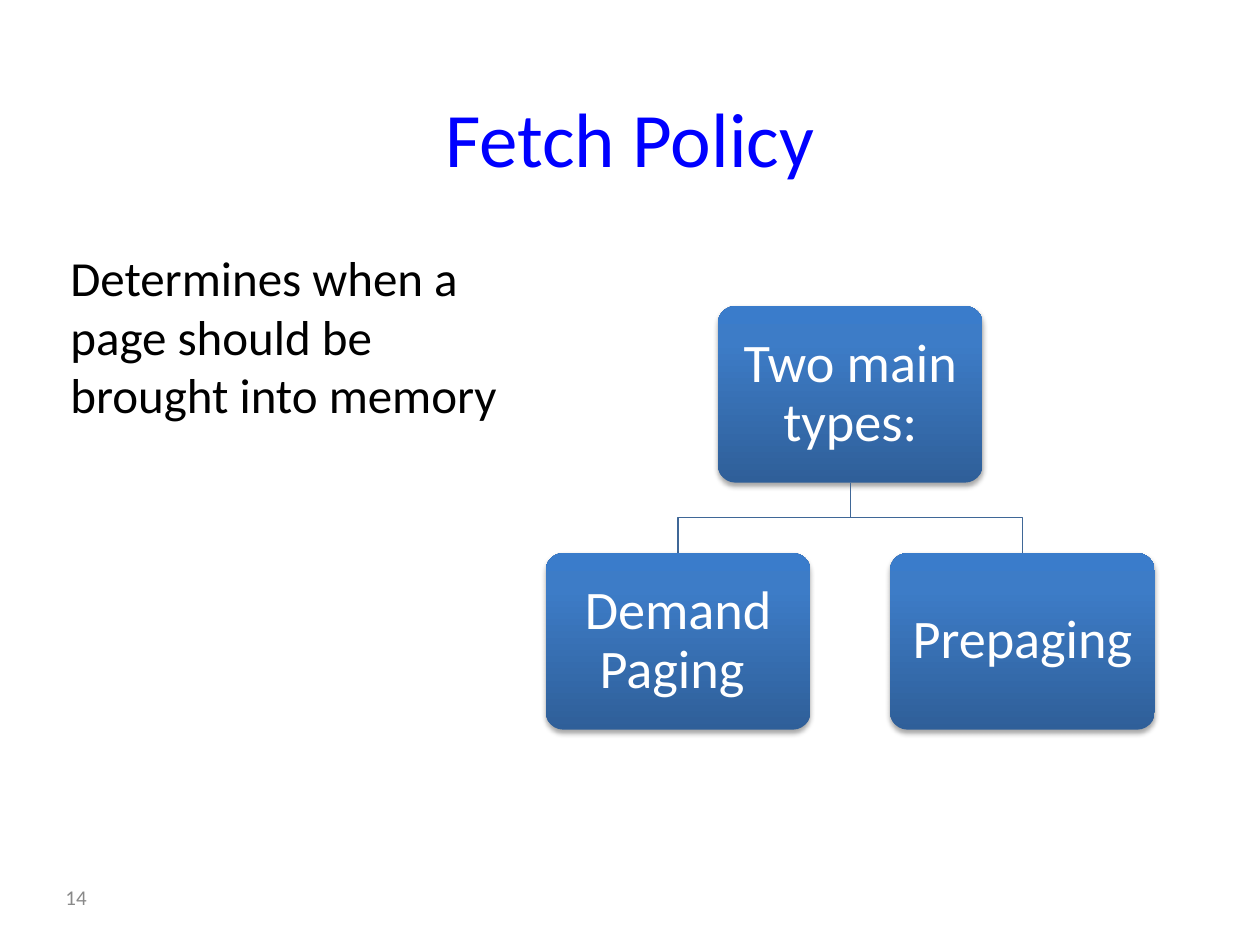
from copy import deepcopy

from pptx import Presentation
from pptx.dml.color import RGBColor
from pptx.enum.shapes import MSO_SHAPE
from pptx.enum.text import MSO_ANCHOR as ANCHOR, PP_ALIGN as ALIGN
from pptx.oxml import parse_xml
from pptx.oxml.ns import nsdecls
from pptx.util import Cm, Pt

COLORS = {
    "title": "0000FF", "body": "000000", "number": "898989", "node_text": "FFFFFF",
    "dark": "2F5F99", "mid": "3D7CC7", "light": "3A7CCB", "link": "3F6797",
}
FONT = "Calibri"
NODE_STOPS = [(0, "dark"), (80, "mid"), (100, "light")]
NODE_W, NODE_H = Cm(5.34), Cm(3.56)
NODE_MARGIN = Cm(0.28)
LEVEL_GAP = Cm(1.42)
NODE_STEP = Cm(6.94)
TREE_CENTER, TREE_TOP = Cm(17.14), Cm(6.17)


def rgb(name):
    return RGBColor.from_string(COLORS[name])


def set_text(sp, text, size, color, align=ALIGN.LEFT, anchor=ANCHOR.MIDDLE):
    tf = sp.text_frame
    tf.text = text
    tf.word_wrap = True
    tf.vertical_anchor = anchor
    p = tf.paragraphs[0]
    p.alignment = align
    font = p.runs[0].font
    font.name, font.size, font.color.rgb = FONT, Pt(size), rgb(color)
    return tf


def add_title(s, text):
    sp = s.shapes.title
    sp.left, sp.top, sp.width, sp.height = Cm(1.83), Cm(1.27), Cm(21.74), Cm(2.97)
    set_text(sp, text, 44, "title", ALIGN.CENTER)


def add_text(s, box, text, size, color, anchor):
    sp = s.shapes.add_textbox(*(Cm(v) for v in box))
    set_text(sp, text, size, color, anchor=anchor)


def fill_gradient(sp):
    sp.fill.gradient()
    sp.fill.gradient_angle = 90
    # A default gradient has two stops; add the middle one
    stop_list = sp._element.spPr.find(".//{*}gsLst")
    stop_list.insert(1, deepcopy(stop_list[0]))
    for element, stop, (pos, color) in zip(stop_list, sp.fill.gradient_stops, NODE_STOPS):
        element.set("pos", str(pos * 1000))
        stop.color.rgb = rgb(color)


def add_shadow(sp):
    sp._element.spPr.append(parse_xml(
        f'<a:effectLst {nsdecls("a")}>'
        f'<a:outerShdw blurRad="{Pt(3.1)}" dist="{Pt(1.8)}" dir="5400000" rotWithShape="0">'
        '<a:srgbClr val="000000"><a:alpha val="35000"/></a:srgbClr>'
        '</a:outerShdw></a:effectLst>'))


def add_node(s, center, top, text):
    sp = s.shapes.add_shape(MSO_SHAPE.ROUNDED_RECTANGLE,
                            center - NODE_W // 2, top, NODE_W, NODE_H)
    sp.adjustments[0] = 0.1
    fill_gradient(sp)
    sp.line.fill.background()
    add_shadow(sp)
    tf = set_text(sp, text, 31, "node_text", ALIGN.CENTER)
    tf.margin_left = tf.margin_right = tf.margin_top = tf.margin_bottom = NODE_MARGIN
    tf.paragraphs[0].line_spacing = 0.9


def add_link(s, start_x, end_x, top):
    """Draw an open elbow from a parent down to its child."""
    middle, bottom = top + LEVEL_GAP // 2, top + LEVEL_GAP
    builder = s.shapes.build_freeform(start_x, top)
    builder.add_line_segments(
        [(start_x, middle), (end_x, middle), (end_x, bottom)], close=False)
    sp = builder.convert_to_shape()
    sp.fill.background()
    sp.line.color.rgb = rgb("link")
    sp.line.width = Pt(0.75)
    sp.shadow.inherit = False


def add_tree(s, root, children):
    root_bottom = TREE_TOP + NODE_H
    add_node(s, TREE_CENTER, TREE_TOP, root)
    for i, text in enumerate(children):
        center = TREE_CENTER + int((i - (len(children) - 1) / 2) * NODE_STEP)
        add_link(s, TREE_CENTER, center, root_bottom)
        add_node(s, center, root_bottom + LEVEL_GAP, text)


def main():
    prs = Presentation()
    prs.slide_width, prs.slide_height = Cm(25.4), Cm(19.05)
    s = prs.slides.add_slide(prs.slide_layouts[5])

    # Title and definition
    add_title(s, "Fetch Policy")
    add_text(s, (1.17, 4.86, 9.53, 4.45),
             "Determines when a page should be brought into memory",
             28, "body", ANCHOR.TOP)

    # Hierarchy of fetch policies
    add_tree(s, "Two main types:", ["Demand Paging ", "Prepaging"])

    # Slide number
    add_text(s, (1.07, 17.57, 2.74, 1.02), "14", 12, "number", ANCHOR.MIDDLE)

    prs.save("out.pptx")


if __name__ == "__main__":
    main()
